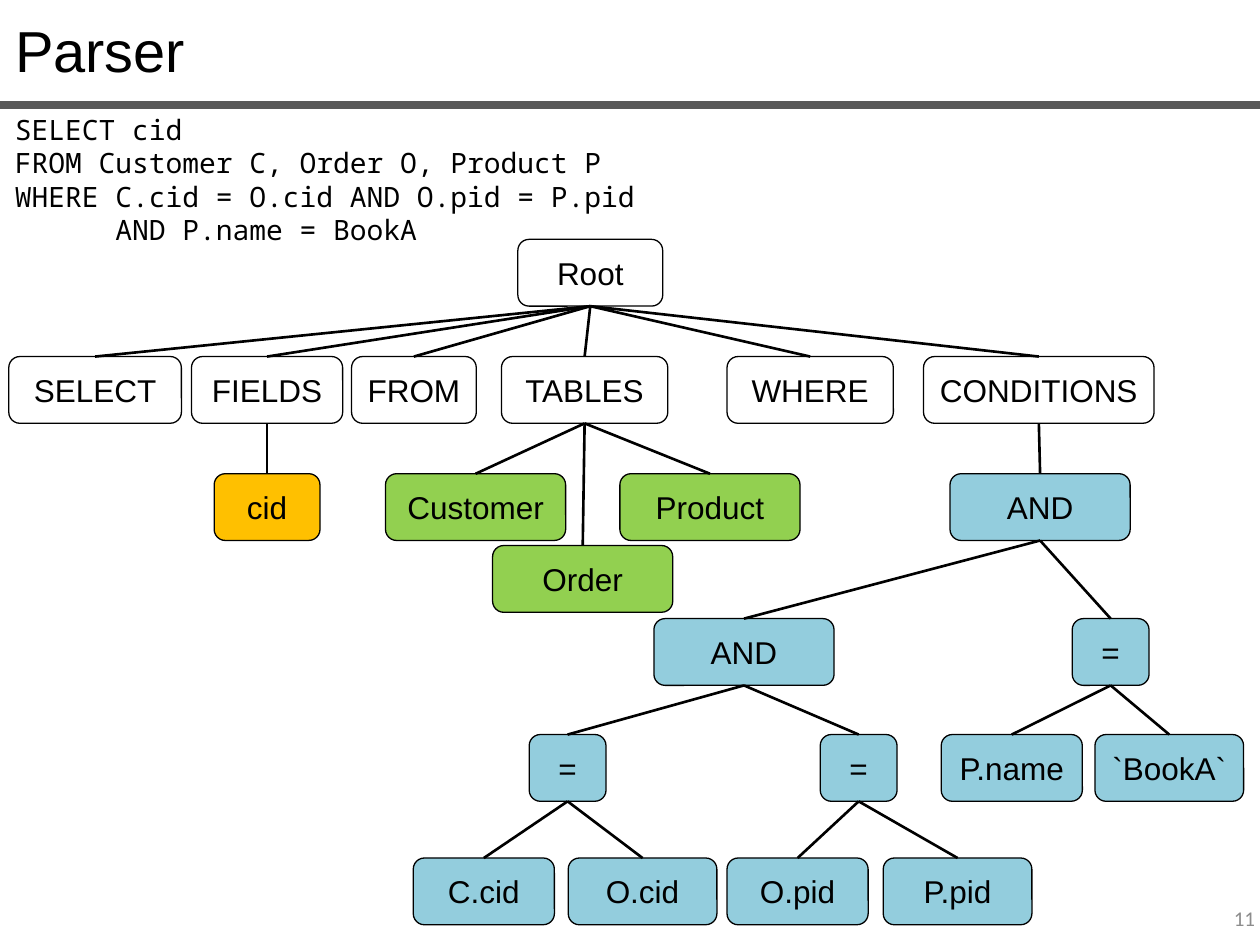
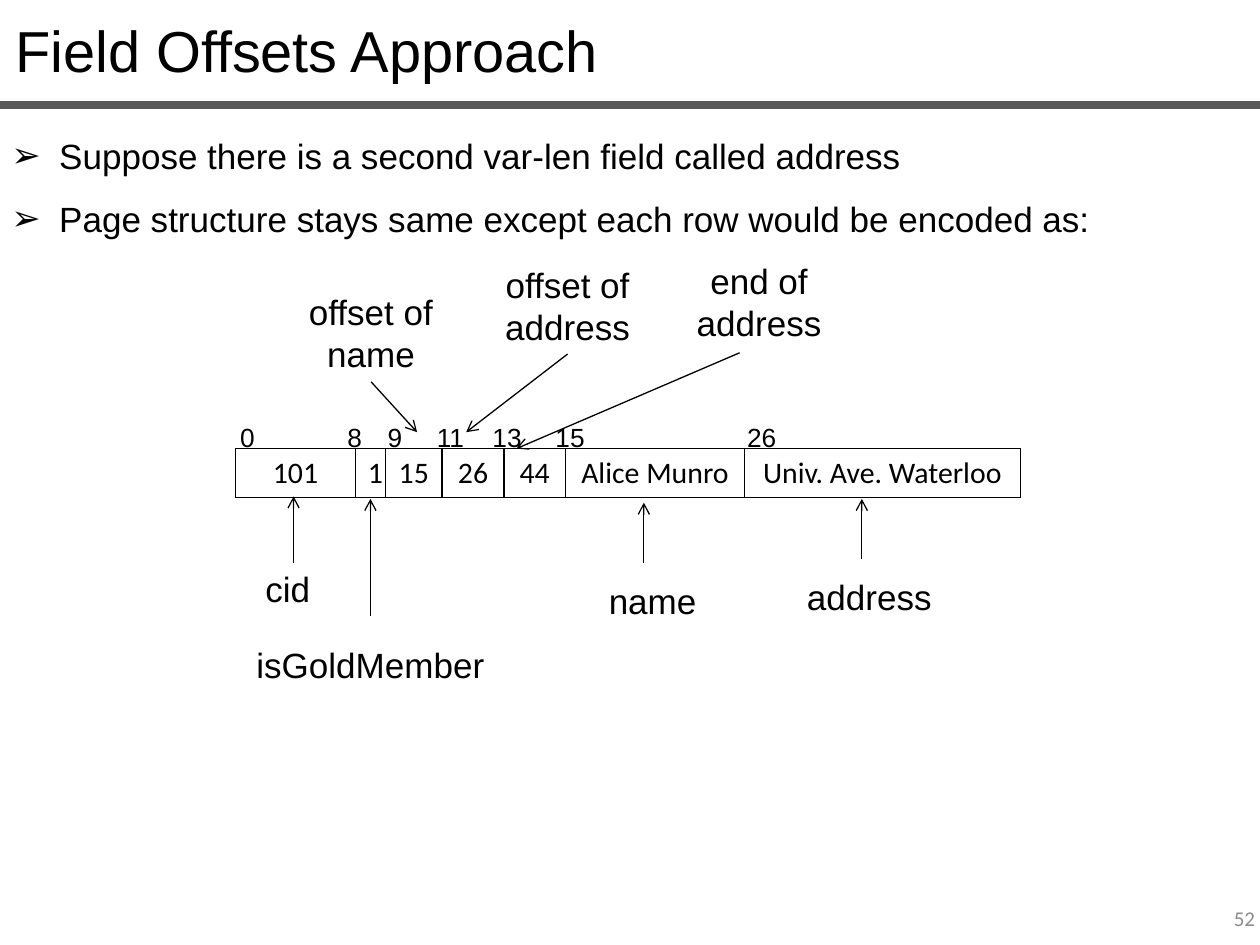
"""Build two database lecture slides: a parser tree and a field offset row."""
from lxml import etree
from pptx import Presentation
from pptx.dml.color import RGBColor
from pptx.enum import shapes, text
from pptx.oxml import ns
from pptx.util import Inches, Pt

BLACK, BAND, GREY = "000000", "595959", "8C8C8C"
ORANGE, GREEN, BLUE = "FFC000", "92D050", "93CDDD"
LEFT, CENTER, RIGHT = text.PP_ALIGN.LEFT, text.PP_ALIGN.CENTER, text.PP_ALIGN.RIGHT
TOP, MIDDLE = text.MSO_ANCHOR.TOP, text.MSO_ANCHOR.MIDDLE

QUERY = [
    "SELECT cid",
    "FROM Customer C, Order O, Product P",
    "WHERE C.cid = O.cid AND O.pid = P.pid",
    "      AND P.name = BookA",
]
NODE_HEIGHT = 0.53
# (parent, top, fill, [(key, label, left, width)])
TREE = [
    (None, 1.9, None, [("root", "Root", 4.11, 1.15)]),
    ("root", 2.83, None, [
        ("select", "SELECT", 0.07, 1.37), ("fields", "FIELDS", 1.52, 1.2),
        ("from", "FROM", 2.79, 0.99), ("tables", "TABLES", 3.98, 1.32),
        ("where", "WHERE", 5.77, 1.32), ("conditions", "CONDITIONS", 7.33, 1.83)]),
    ("fields", 3.76, ORANGE, [("cid", "cid", 1.7, 0.84)]),
    ("tables", 3.76, GREEN, [("customer", "Customer", 3.06, 1.43),
                             ("product", "Product", 4.92, 1.43)]),
    ("tables", 4.33, GREEN, [("order", "Order", 3.91, 1.43)]),
    ("conditions", 3.76, BLUE, [("and", "AND", 7.54, 1.43)]),
    ("and", 4.91, BLUE, [("joins", "AND", 5.19, 1.43), ("book", "=", 8.51, 0.61)]),
    ("book", 5.83, BLUE, [("p.name", "P.name", 7.47, 1.12),
                          ("title", "`BookA`", 8.69, 1.18)]),
    ("joins", 5.83, BLUE, [("cids", "=", 4.2, 0.61), ("pids", "=", 6.51, 0.61)]),
    ("cids", 6.81, BLUE, [("c.cid", "C.cid", 3.28, 1.12), ("o.cid", "O.cid", 4.51, 1.18)]),
    ("pids", 6.81, BLUE, [("o.pid", "O.pid", 5.77, 1.12), ("p.pid", "P.pid", 7.01, 1.18)]),
]

POINTS = [
    "Suppose there is a second var-len field called address",
    "Page structure stays same except each row would be encoded as:",
]
ROW = [("101", 0.95), ("1", 0.23), ("15", 0.45), ("26", 0.49), ("44", 0.49),
       ("Alice Munro", 1.42), ("Univ. Ave. Waterloo", 2.19)]
OFFSETS = [("0", 1.75), ("8", 2.6), ("9", 2.92), ("11", 3.36), ("13", 3.81),
           ("15", 4.31), ("26", 5.83)]
# (label, box, line spacing, arrow start as a point or box side, arrow tip)
FIELD_LABELS = [
    ("cid", (1.82, 4.29, 0.93, 0.54), 1.5, (2.33, 4.47), (2.33, 3.94)),
    ("isGoldMember", (1.85, 4.89, 2.18, 0.54), 1.5, 0, (2.94, 3.96)),
    ("offset of name", (2.03, 2.26, 1.83, 0.77), 1, 2, (3.31, 3.43)),
    ("offset of address", (3.59, 2.04, 1.83, 0.77), 1, 2, (3.7, 3.43)),
    ("end of address", (5.11, 2.01, 1.83, 0.77), 1, (5.87, 2.8), (4.1, 3.56)),
    ("name", (4.63, 4.38, 1.1, 0.54), 1.5, (5.11, 4.47), (5.11, 3.99)),
    ("address", (6.13, 4.35, 1.54, 0.54), 1.5, (6.84, 4.44), (6.84, 3.96)),
]


def color(value):
    return RGBColor.from_string(value)


def inches(values):
    return [Inches(value) for value in values]


def add_element(parent, tag, **attributes):
    return etree.SubElement(parent, ns.qn(tag), attributes)


def write(frame, lines, size=20, font="Arial", fill=BLACK, align=LEFT, spacing=1,
          anchor=TOP, wrap=True, bullet=None):
    frame.word_wrap = wrap
    frame.auto_size = text.MSO_AUTO_SIZE.NONE
    frame.vertical_anchor = anchor
    for index, line in enumerate([lines] if isinstance(lines, str) else lines):
        para = frame.paragraphs[0] if index == 0 else frame.add_paragraph()
        if bullet:
            properties = para._p.get_or_add_pPr()
            properties.set("marL", str(Inches(0.38)))
            properties.set("indent", str(Inches(-0.38)))
            add_element(properties, "a:buFont", typeface="Arial")
            add_element(properties, "a:buChar", char=bullet)
        para.alignment = align
        para.line_spacing = spacing
        para.space_before = Pt(0)
        span = para.add_run()
        span.text = line
        span.font.size = Pt(size)
        span.font.name = font
        span.font.color.rgb = color(fill)


def add_text(page, place, lines, **style):
    box = page.shapes.add_textbox(*inches(place))
    write(box.text_frame, lines, **style)
    return box


def add_line(page, start, end, width, fill=BLACK, arrow=False):
    line = page.shapes.add_connector(shapes.MSO_CONNECTOR.STRAIGHT, *inches(start + end))
    line.line.color.rgb = color(fill)
    line.line.width = Pt(width)
    if arrow:
        add_element(line.line._get_or_add_ln(), "a:tailEnd", type="arrow")
    add_element(line._element.spPr, "a:effectLst")
    return line


def place_in(holder, place):
    holder.left, holder.top, holder.width, holder.height = inches(place)
    return holder.text_frame


def start_page(deck, layout, title, number):
    page = deck.slides.add_slide(deck.slide_layouts[layout])
    write(place_in(page.shapes.title, (0.02, 0.07, 10, 0.66)), title, size=33)
    add_line(page, (0, 0.83), (10, 0.83), 4.5, BAND)
    add_text(page, (7.73, 7.09, 2.33, 0.4), number, size=12, font="Calibri",
             fill=GREY, align=RIGHT, anchor=MIDDLE)
    return page


def add_node(page, label, place, fill):
    node = page.shapes.add_shape(shapes.MSO_SHAPE.ROUNDED_RECTANGLE, *inches(place))
    node.shadow.inherit = False
    if fill:
        node.fill.solid()
        node.fill.fore_color.rgb = color(fill)
    else:
        node.fill.background()
    node.line.color.rgb = color(BLACK)
    node.line.width = Pt(0.75)
    frame = node.text_frame
    frame.margin_left = frame.margin_right = 0
    write(frame, label, size=18, align=CENTER, anchor=MIDDLE)
    return node


def build_parser(deck):
    page = start_page(deck, 5, "Parser", "11")
    add_text(page, (0.02, 0.84, 6.64, 1.18), QUERY, size=16, font="Noto Sans Mono")
    nodes = {}
    for parent, top, fill, children in TREE:
        for key, label, left, width in children:
            nodes[key] = add_node(page, label, (left, top, width, NODE_HEIGHT), fill)
            if parent:
                branch = add_line(page, (0, 0), (1, 1), 1.5)
                branch.begin_connect(nodes[parent], 2)
                branch.end_connect(nodes[key], 0)


def add_row(page):
    total = sum(width for _, width in ROW)
    table = page.shapes.add_table(1, len(ROW), *inches((1.87, 3.56, total, 0.39))).table
    table.first_row = table.horz_banding = False
    for index, (value, width) in enumerate(ROW):
        table.columns[index].width = Inches(width)
        cell = table.cell(0, index)
        write(cell.text_frame, value, size=17, font="Calibri", align=CENTER)
        properties = cell._tc.get_or_add_tcPr()
        for side in "LRTB":
            border = add_element(properties, f"a:ln{side}", w=str(Pt(1)))
            add_element(add_element(border, "a:solidFill"), "a:srgbClr", val=BLACK)
        cell.fill.background()


def build_offsets(deck):
    page = start_page(deck, 1, "Field Offsets Approach", "52")
    write(place_in(page.placeholders[1], (-0.01, 0.85, 9.98, 1.05)), POINTS,
          spacing=1.5, bullet="➢")
    add_row(page)
    for label, place, spacing, start, tip in FIELD_LABELS:
        box = add_text(page, place, label, align=CENTER, spacing=spacing)
        glued = isinstance(start, int)
        arrow = add_line(page, tip if glued else start, tip, 0.75, arrow=True)
        if glued:
            arrow.begin_connect(box, start)
    for label, left in OFFSETS:
        add_text(page, (left, 3.17, 0.43, 0.43), label, size=15, align=CENTER,
                 spacing=1.5, wrap=False)


def main():
    deck = Presentation()
    deck.slide_width, deck.slide_height = inches((10, 7.5))
    build_parser(deck)
    build_offsets(deck)
    deck.save("out.pptx")


if __name__ == "__main__":
    main()
